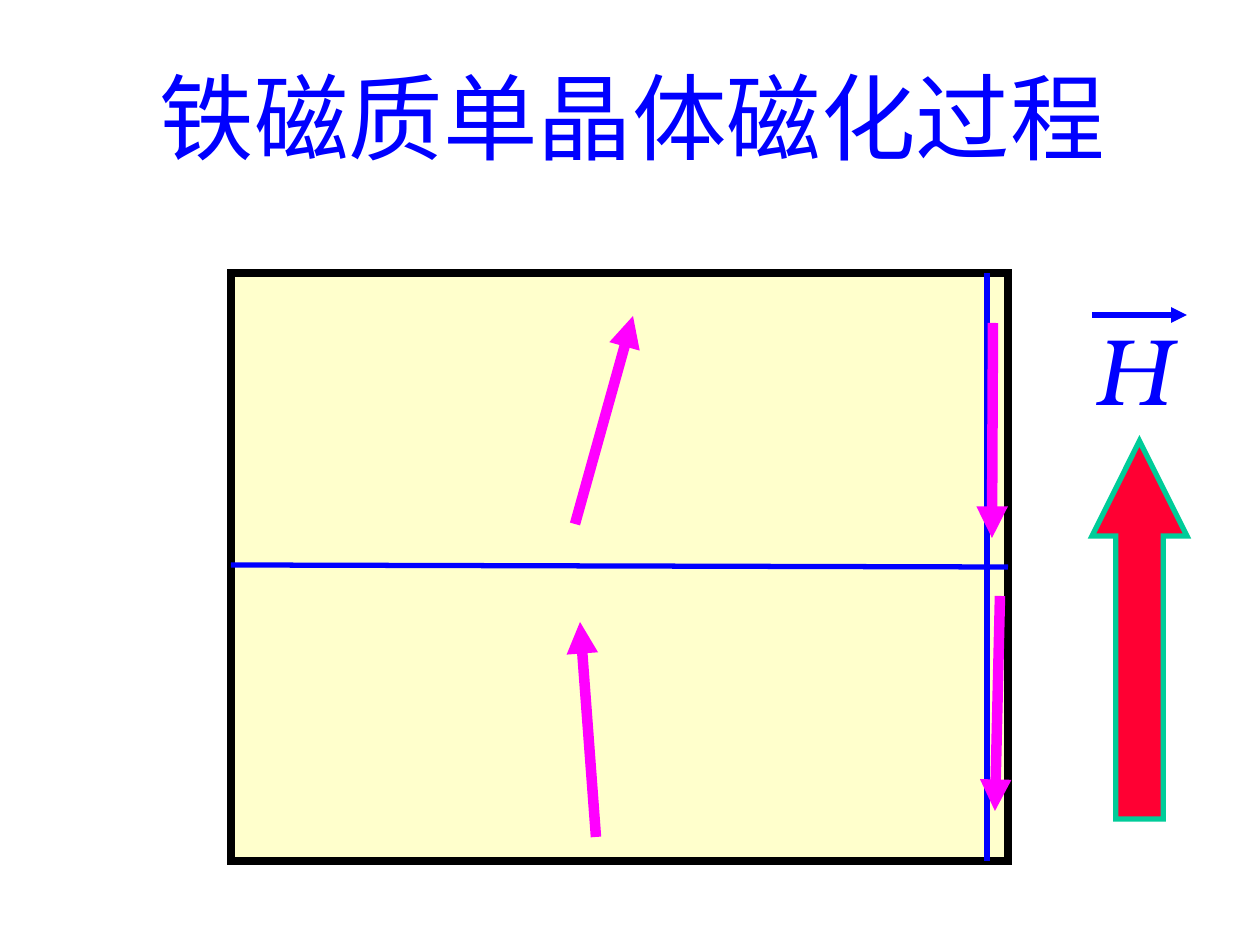
from dataclasses import dataclass

from lxml.etree import SubElement
from pptx import Presentation
from pptx.dml.color import RGBColor as RGB
from pptx.enum.shapes import MSO_CONNECTOR as CONN, MSO_SHAPE as SHAPE
from pptx.enum.text import MSO_ANCHOR as ANCHOR, MSO_AUTO_SIZE as AUTO, PP_ALIGN as ALIGN
from pptx.oxml.ns import qn
from pptx.util import Emu, Pt


@dataclass(frozen=True)
class Theme:
    font: str = "TeX Gyre Bonum"
    text_size: int = 54
    blue: str = "0000FF"
    crystal: str = "FFFFCC"
    border: str = "000000"
    moment: str = "FF00FF"
    field: str = "FF0033"
    field_edge: str = "00CC99"
    thin: float = 3
    frame: float = 4.5
    thick: float = 6


T = Theme()
PX_PER_INCH = 126


def px(n):
    return Emu(round(n * 914400 / PX_PER_INCH))


def style_line(line, color, width):
    line.color.rgb = RGB.from_string(color)
    line.width = Pt(width)


def add_block(s, kind, box, fill, edge, width):
    sp = s.shapes.add_shape(kind, *map(px, box))
    sp.shadow.inherit = False
    sp.fill.solid()
    sp.fill.fore_color.rgb = RGB.from_string(fill)
    style_line(sp.line, edge, width)
    SubElement(sp.line._get_or_add_ln(), qn("a:miter"), lim="800000")
    return sp


def add_line(s, start, end, color, width, arrow=False):
    cn = s.shapes.add_connector(CONN.STRAIGHT, *map(px, start + end))
    style_line(cn.line, color, width)
    if arrow:
        SubElement(cn.line._get_or_add_ln(), qn("a:tailEnd"), type="triangle")
    SubElement(cn._element.spPr, qn("a:effectLst"))


def write_text(sp, text, box, italic=False):
    sp.left, sp.top, sp.width, sp.height = map(px, box)
    tf = sp.text_frame
    tf.text = text
    tf.word_wrap = False
    tf.auto_size = AUTO.SHAPE_TO_FIT_TEXT
    tf.vertical_anchor = ANCHOR.TOP
    p = tf.paragraphs[0]
    p.alignment = ALIGN.LEFT
    font = p.runs[0].font
    font.name = T.font
    font.size = Pt(T.text_size)
    font.italic = italic
    font.color.rgb = RGB.from_string(T.blue)


def add_crystal(s):
    add_block(s, SHAPE.RECTANGLE, (231, 273, 777, 588), T.crystal, T.border, T.frame)
    walls = [((987, 273), (987, 861)), ((231, 565), (1008, 567))]
    for start, end in walls:
        add_line(s, start, end, T.blue, T.thin)
    moments = [
        ((575, 524), (633, 316)),
        ((993, 323), (992, 538)),
        ((596, 837), (580, 622)),
        ((1000, 596), (995, 811)),
    ]
    for start, end in moments:
        add_line(s, start, end, T.moment, T.thick, arrow=True)


def add_field(s):
    arrow = add_block(s, SHAPE.UP_ARROW, (1092, 441, 95, 378), T.field, T.field_edge, T.thin)
    arrow.adjustments[0] = 0.5
    arrow.adjustments[1] = 1
    label = (1082, 305, 101, 126)
    write_text(s.shapes.add_textbox(*map(px, label)), "H", label, italic=True)
    add_line(s, (1092, 315), (1187, 315), T.blue, T.thin, arrow=True)


def main():
    prs = Presentation()
    prs.slide_width, prs.slide_height = px(1260), px(945)
    s = prs.slides.add_slide(prs.slide_layouts[5])
    write_text(s.shapes.title, "铁磁质单晶体磁化过程", (147, 53, 1000, 126))
    add_crystal(s)
    add_field(s)
    prs.save("out.pptx")


if __name__ == "__main__":
    main()
